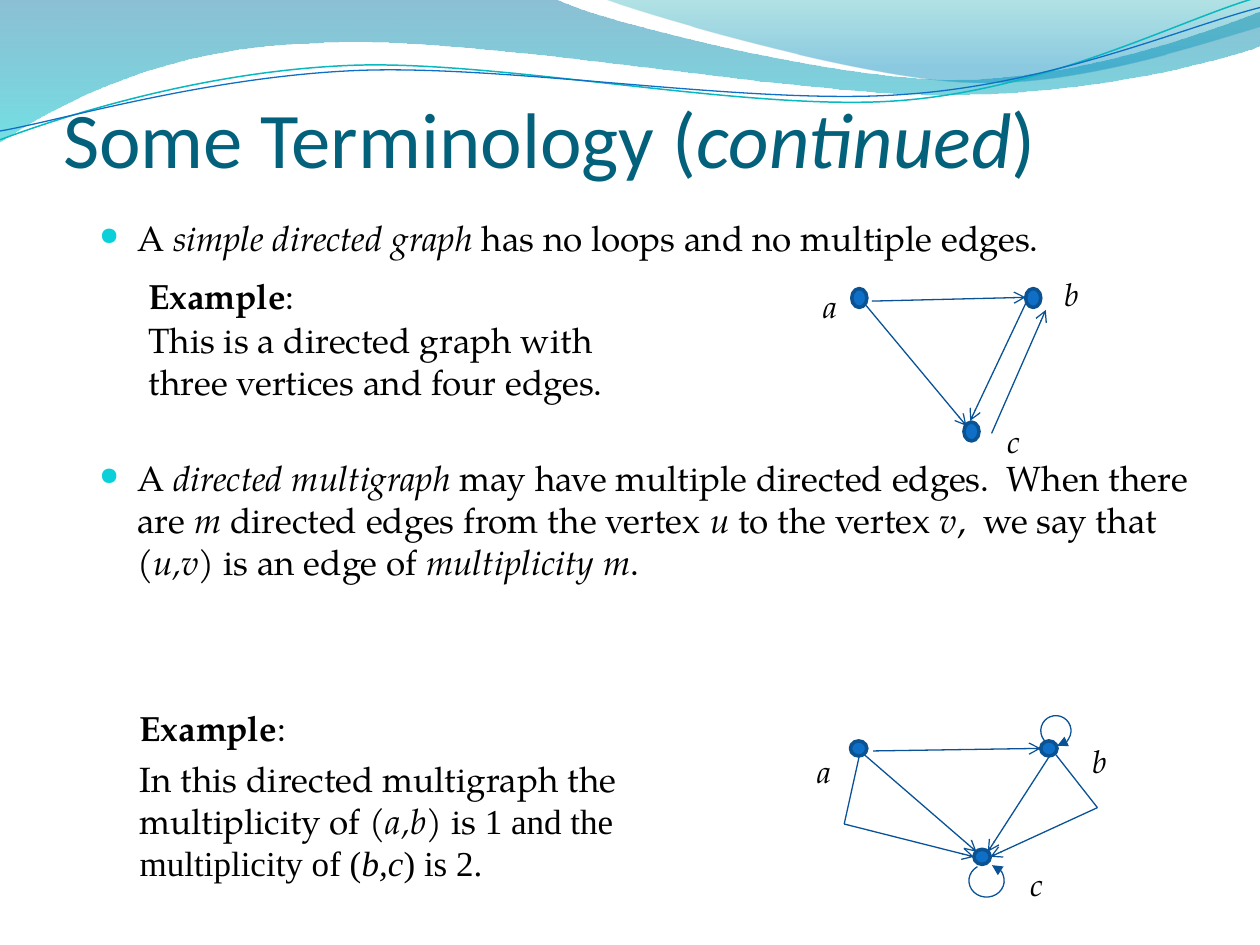
from dataclasses import dataclass
from math import cos, radians, sin, tan

from lxml.etree import SubElement
from pptx import Presentation
from pptx.dml.color import RGBColor
from pptx.enum.shapes import MSO_CONNECTOR, MSO_SHAPE
from pptx.enum.text import MSO_ANCHOR, MSO_AUTO_SIZE, PP_ALIGN
from pptx.oxml import parse_xml
from pptx.oxml.ns import nsdecls, qn
from pptx.util import Inches, Pt


@dataclass(frozen=True)
class Theme:
    title: str = "04617B"
    text: str = "000000"
    bullet: str = "0BD0D9"
    node: str = "0F6FC6"
    node_line: str = "0B5292"
    edge: str = "095295"
    teal: str = "0AB8BF"
    title_font: str = "Calibri"
    body_font: str = "TeX Gyre Pagella"
    other_font: str = "Times New Roman"
    title_size: int = 45
    body_size: int = 20
    label_size: int = 18


THEME = Theme()


# Text
def add_runs(paragraph, runs, size=THEME.body_size, color=THEME.text, font=THEME.body_font):
    """Each run is (text, style) or (text, style, font); style holds b and i."""
    for text, style, *own_font in runs:
        run = paragraph.add_run()
        run.text = text
        run.font.name = own_font[0] if own_font else font
        run.font.size = Pt(size)
        run.font.bold = "b" in style
        run.font.italic = "i" in style
        run.font.color.rgb = RGBColor.from_string(color)


def add_text(shapes, left, top, width, height, runs, size=THEME.body_size):
    box = shapes.add_textbox(Inches(left), Inches(top), Inches(width), Inches(height))
    box.text_frame.word_wrap = True
    add_runs(box.text_frame.paragraphs[0], runs, size)
    return box.text_frame


def add_bullet(paragraph):
    properties = paragraph._p.get_or_add_pPr()
    properties.set("marL", str(Inches(0.3)))
    properties.set("indent", str(Inches(-0.3)))
    color = SubElement(properties, qn("a:buClr"))
    SubElement(color, qn("a:srgbClr"), val=THEME.bullet)
    SubElement(properties, qn("a:buSzPct"), val="71000")
    SubElement(properties, qn("a:buChar"), char="●")


def set_title(slide):
    title = slide.shapes.title
    title.left, title.top = Inches(0.5), Inches(0.77)
    title.width, title.height = Inches(9), Inches(0.69)
    frame = title.text_frame
    frame.auto_size = MSO_AUTO_SIZE.NONE
    frame.vertical_anchor = MSO_ANCHOR.BOTTOM
    frame.margin_left = frame.margin_right = frame.margin_bottom = 0
    paragraph = frame.paragraphs[0]
    paragraph.alignment = PP_ALIGN.LEFT
    runs = [("Some Terminology (", ""), ("continued", "i"), (")", "")]
    add_runs(paragraph, runs, THEME.title_size, THEME.title, THEME.title_font)


# Lines and outlines
def style_line(shape, color, width, arrow=None):
    shape.line.color.rgb = RGBColor.from_string(color)
    shape.line.width = Pt(width)
    if arrow:
        SubElement(shape.line._get_or_add_ln(), qn("a:tailEnd"), type=arrow)


def add_outline(shapes, start, *parts, closed=False):
    """Parts are straight (x, y) or cubic (two control points and an end point)."""
    builder = shapes.build_freeform(*map(Inches, start), scale=1.0)
    builder.add_line_segments([tuple(map(Inches, part[-2:])) for part in parts], close=closed)
    shape = builder.convert_to_shape()
    shape.shadow.inherit = False
    shape.fill.background()
    for line, part in zip(list(shape._element.iter(qn("a:lnTo"))), parts):
        if len(part) == 6:
            line.tag, values = qn("a:cubicBezTo"), list(map(Inches, part))
            line.remove(line[0])
            for x, y in zip(values[::2], values[1::2]):
                SubElement(line, qn("a:pt"), x=str(x - shape.left), y=str(y - shape.top))
    return shape


def add_wave(shapes, stops, *outline):
    shape = add_outline(shapes, *outline, closed=True)
    shape.line.fill.background()
    marks = "".join(f'<a:gs pos="{place * 1000}"><a:srgbClr val="{color}">'
                    f'<a:alpha val="{alpha * 1000}"/></a:srgbClr></a:gs>'
                    for place, color, alpha in stops)
    gradient = parse_xml(f'<a:gradFill {nsdecls("a")}><a:gsLst>{marks}</a:gsLst>'
                         '<a:lin ang="5400000" scaled="0"/></a:gradFill>')
    properties = shape._element.spPr
    properties.replace(properties.find(qn("a:noFill")), gradient)


def add_header(shapes):
    add_wave(shapes, [(0, "0074A1", 45), (100, "00C6CF", 55)],
             (0, 0), (4.4, -0.01), (4.76, 0.17, 6.64, 0.63, 7.58, 0.63),
             (8.53, 0.63, 9.58, 0.26, 10, 0.09), (10.01, 0.36),
             (9.83, 0.44, 8.7, 0.76, 7.46, 0.75), (6.22, 0.75, 3.82, 0.28, 2.57, 0.34),
             (1.29, 0.36, 0.46, 0.83, -0.01, 1.13))
    add_wave(shapes, [(0, "00A1A9", 30), (80, "008BBF", 45)],
             (4.79, -0.01), (5.09, 0.11, 6.82, 0.62, 7.69, 0.65),
             (8.56, 0.69, 9.61, 0.32, 10, 0.21), (10, 0))
    teal = add_outline(
        shapes, (0, 1.11), (0.48, 0.93, 1.58, 0.57, 2.77, 0.52),
        (3.95, 0.47, 5.93, 0.89, 7.13, 0.8), (8.33, 0.71, 9.38, 0.15, 9.98, -0.02))
    style_line(teal, THEME.teal, 0.85)
    blue = add_outline(
        shapes, (0, 1.04), (0.47, 0.96, 1.64, 0.61, 2.83, 0.56),
        (4.03, 0.51, 5.97, 0.84, 7.17, 0.75), (8.36, 0.67, 9.41, 0.21, 10, 0.06))
    style_line(blue, THEME.node, 0.75)


# Graphs
def add_edge(shapes, *points):
    """Straight pieces through the points, with an arrowhead on the last one."""
    for start, end in zip(points, points[1:]):
        edge = shapes.add_connector(MSO_CONNECTOR.STRAIGHT, *map(Inches, start + end))
        style_line(edge, THEME.edge, 0.75, "arrow" if end == points[-1] else None)
        SubElement(edge._element.spPr, qn("a:effectLst"))


def add_loop(shapes, center, radii, first, last, count=6):
    """An open elliptical arc, made of equal cubic parts."""
    turn = radians(last - first) / count
    pull = 4 / 3 * tan(turn / 4)

    def place(angle, shift=0):
        return (center[0] + radii[0] * (cos(angle) - shift * sin(angle)),
                center[1] + radii[1] * (sin(angle) + shift * cos(angle)))

    angles = [radians(first) + turn * step for step in range(count + 1)]
    parts = [place(a, pull) + place(b, -pull) + place(b) for a, b in zip(angles, angles[1:])]
    loop = add_outline(shapes, place(angles[0]), *parts)
    style_line(loop, THEME.edge, 0.75, "triangle")


def add_graph(slide, node_size, nodes, label_size, labels, edges, loops=()):
    shapes = slide.shapes.add_group_shape().shapes
    for left, top in nodes:
        node = shapes.add_shape(MSO_SHAPE.OVAL, *map(Inches, (left, top) + node_size))
        node.shadow.inherit = False
        node.fill.solid()
        node.fill.fore_color.rgb = RGBColor.from_string(THEME.node)
        style_line(node, THEME.node_line, 2)
    for edge in edges:
        add_edge(shapes, *edge)
    for name, corner in labels.items():
        add_text(shapes, *corner, *label_size, [(name, "i")], THEME.label_size)
    for loop in loops:
        add_loop(shapes, *loop)


def main():
    presentation = Presentation()
    presentation.slide_width, presentation.slide_height = Inches(10), Inches(7.5)
    slide = presentation.slides.add_slide(presentation.slide_layouts[5])
    shapes = slide.shapes
    add_header(shapes)
    set_title(slide)

    # Definitions
    body = add_text(shapes, 0.69, 1.67, 9, 5.24, [
        ("A ", ""), ("simple directed graph ", "i"),
        ("has no loops and no multiple edges.", "")])
    multigraph = body.add_paragraph()
    multigraph.space_before = Pt(113)
    add_runs(multigraph, [
        ("A ", ""), ("directed multigraph", "i"),
        (" may have multiple directed edges.  When there are ", ""), ("m", "i"),
        (" directed edges from the vertex ", ""), ("u", "i"), (" to the vertex ", ""),
        ("v", "i"), (",  we say that  (", ""), ("u,v", "i"), (") is an edge of ", ""),
        ("multiplicity m", "i"), (".", "")])
    for paragraph in body.paragraphs:
        add_bullet(paragraph)

    # Simple directed graph
    add_graph(slide, (0.12, 0.15), [(6.76, 2.29), (7.65, 3.35), (8.14, 2.29)],
              (0.24, 0.25), {"a": (6.44, 2.23), "b": (8.35, 2.13), "c": (7.9, 3.3)},
              [((6.92, 2.39), (8.14, 2.36)), ((6.87, 2.42), (7.67, 3.38)),
               ((8.14, 2.41), (7.7, 3.34))])

    # Directed multigraph
    add_graph(slide, (0.13, 0.12), [(6.75, 5.88), (7.73, 6.74), (8.26, 5.88)],
              (0.27, 0.2), {"c": (8.08, 6.82), "a": (6.39, 5.92), "b": (8.57, 5.84)},
              [((6.93, 5.96), (8.26, 5.94)), ((6.86, 5.99), (7.75, 6.76)),
               ((8.33, 6), (7.84, 6.76)), ((6.82, 6), (6.7, 6.54), (7.73, 6.8)),
               ((8.38, 5.99), (8.71, 6.41), (7.86, 6.8))],
              [((7.83, 6.99), (0.14, 0.13), 239, -72), ((8.38, 5.8), (0.12, 0.12), 130, 445)])

    # Examples
    add_text(shapes, 1.01, 5.96, 5.02, 1.11, [
        ("In this directed multigraph the multiplicity of (", ""), ("a,b", "i"), (") is ", ""),
        ("1 and the multiplicity of (", "", THEME.other_font),
        ("b,c", "i", THEME.other_font), (") is 2.", "", THEME.other_font)])
    for left, top, width in ((1.08, 2.13, 1.92), (1.01, 5.56, 1.5)):
        add_text(shapes, left, top, width, 0.44, [("Example", "b"), (":", "")])
    add_text(shapes, 1.08, 2.48, 3.92, 0.77, [
        ("This is a directed graph with three vertices and four edges.", "")])
    add_edge(shapes, (7.87, 3.44), (8.3, 2.46))

    presentation.save("out.pptx")


if __name__ == "__main__":
    main()
